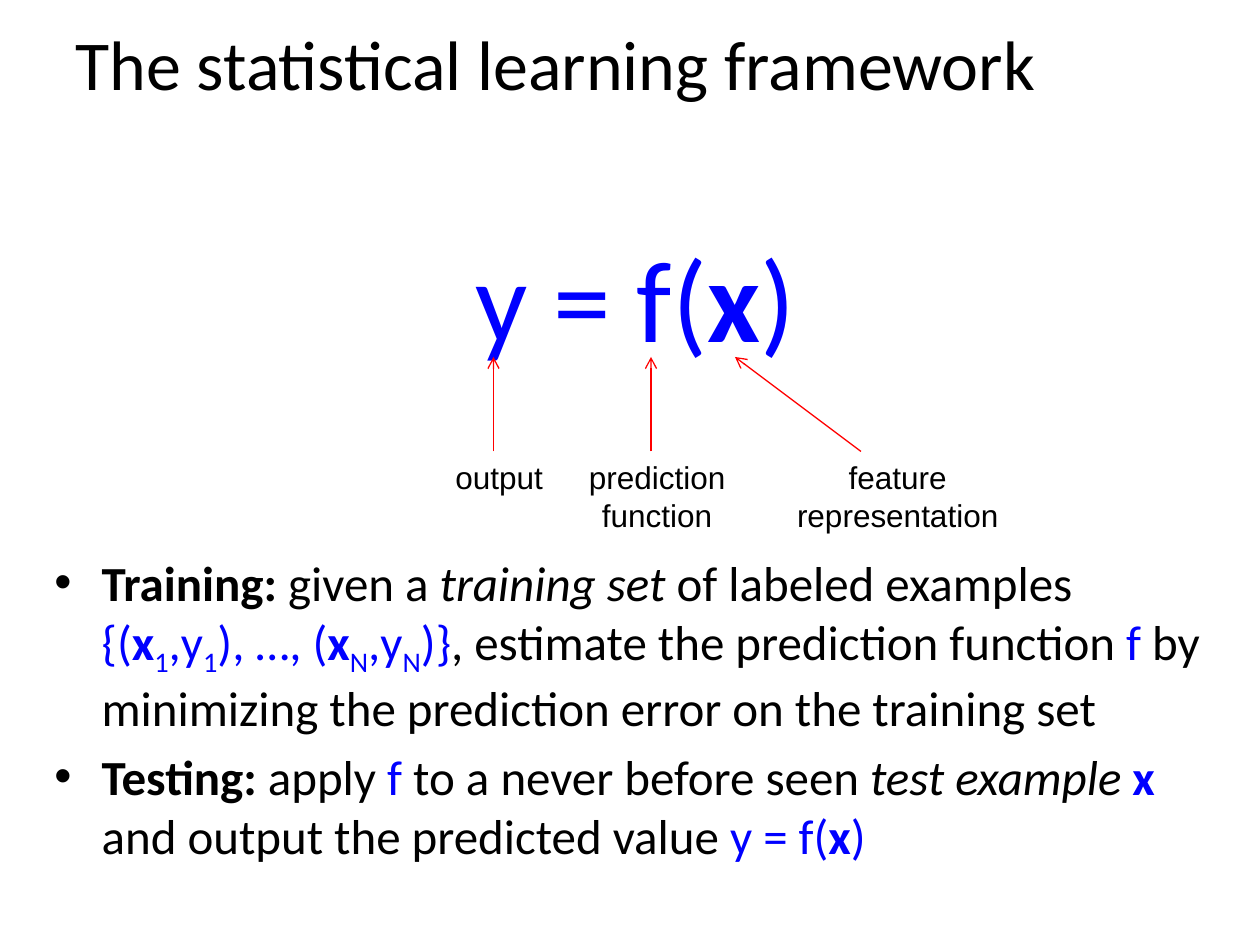
from pptx import Presentation
from pptx.dml.color import RGBColor
from pptx.enum.shapes import MSO_CONNECTOR as Connector
from pptx.enum.text import MSO_ANCHOR as Anchor, PP_ALIGN as Align
from pptx.oxml.ns import qn
from pptx.util import Pt
from lxml.etree import SubElement

COLORS = {"text": "000000", "math": "0000FF", "arrow": "FF0000"}
BREAK = ("", "break")
FORMULA = [("y = f(", "m"), ("x", "mb"), (")", "m")]
TRAINING = [
    ("Training: ", "b"), ("given a ", ""), ("training set ", "i"),
    ("of labeled examples ", ""), BREAK,
    ("{(", "m"), ("x", "mb"), ("1", "ms"), (",y", "m"), ("1", "ms"),
    ("), …, (", "m"), ("x", "mb"), ("N", "ms"), (",y", "m"), ("N", "ms"),
    (")}", "m"), (", estimate the prediction function ", ""), ("f ", "m"),
    ("by minimizing the prediction error on the training set", ""),
]
TESTING = [
    ("Testing:", "b"), (" apply ", ""), ("f", "m"),
    (" to a never before seen ", ""), ("test example ", "i"), ("x", "mb"),
    (" and output the predicted value ", ""), *FORMULA,
]
LABELS = [
    ("output", (253, 258, 64.5, 29), 282, 282, False),
    ("prediction function", (301, 258, 149, 51), 372, 372, True),
    ("feature representation", (438, 258, 150, 51), 492, 420, True),
]


def style_font(font, name, size, color="text"):
    """Set the typeface, size and colour of a font."""
    font.name, font.size = name, Pt(size)
    font.color.rgb = RGBColor.from_string(COLORS[color])


def add_runs(paragraph, pieces, size):
    """Write runs styled by flags: m math, b bold, i italic, s subscript."""
    for text, flags in pieces:
        if flags == "break":
            paragraph.add_line_break()
            continue
        run = paragraph.add_run()
        run.text = text
        style_font(run.font, "Calibri", size, "math" if "m" in flags else "text")
        run.font.bold, run.font.italic = "b" in flags, "i" in flags
        if "s" in flags:
            run._r.get_or_add_rPr().set("baseline", "-25000")


def add_text_frame(slide, box, wrap=True):
    """Add a text box and return its text frame."""
    text_frame = slide.shapes.add_textbox(*map(Pt, box)).text_frame
    text_frame.word_wrap = wrap
    return text_frame


def add_title(slide, box, text):
    """Place and format the title placeholder."""
    title = slide.shapes.title
    title.left, title.top, title.width, title.height = map(Pt, box)
    title.text_frame.text = text
    title.text_frame.vertical_anchor = Anchor.MIDDLE
    paragraph = title.text_frame.paragraphs[0]
    paragraph.alignment = Align.LEFT
    style_font(paragraph.runs[0].font, "Calibri", 40)


def add_formula(slide, box):
    """Write the large centred formula."""
    paragraph = add_text_frame(slide, box).paragraphs[0]
    paragraph.alignment = Align.CENTER
    add_runs(paragraph, FORMULA, 66)


def add_label(slide, box, text, start_x, end_x, wrap):
    """Write a label and point from its top edge up to the formula."""
    text_frame = add_text_frame(slide, box, wrap)
    text_frame.text = text
    paragraph = text_frame.paragraphs[0]
    paragraph.alignment = Align.CENTER
    style_font(paragraph.runs[0].font, "Arial", 18)
    top = box[1]
    arrow = slide.shapes.add_connector(
        Connector.STRAIGHT, Pt(start_x), Pt(top), Pt(end_x), Pt(top - 54))
    arrow.line.width = Pt(0.75)
    arrow.line.color.rgb = RGBColor.from_string(COLORS["arrow"])
    SubElement(arrow.line._get_or_add_ln(), qn("a:tailEnd"), type="arrow")
    SubElement(arrow._element.spPr, qn("a:effectLst"))


def add_bullets(slide, box, items):
    """Write the bulleted explanations with hanging indents."""
    text_frame = add_text_frame(slide, box)
    for index, pieces in enumerate(items):
        paragraph = text_frame.add_paragraph() if index else text_frame.paragraphs[0]
        properties = paragraph._p.get_or_add_pPr()
        properties.set("marL", str(Pt(27)))
        properties.set("indent", str(Pt(-27)))
        SubElement(properties, qn("a:buFont"), typeface="Arial")
        SubElement(properties, qn("a:buChar"), char="•")
        if index:
            paragraph.space_before = Pt(5.6)
        add_runs(paragraph, pieces, 28)


def main():
    """Build the slide and save it."""
    presentation = Presentation()
    presentation.slide_width, presentation.slide_height = Pt(720), Pt(540)
    slide = presentation.slides.add_slide(presentation.slide_layouts[5])
    add_title(slide, (36, 0, 648, 72), "The statistical learning framework")
    add_formula(slide, (24, 126, 678, 88))
    for text, box, start_x, end_x, wrap in LABELS:
        add_label(slide, box, text, start_x, end_x, wrap)
    add_bullets(slide, (24, 312, 678, 170), [TRAINING, TESTING])
    presentation.save("out.pptx")


if __name__ == "__main__":
    main()
